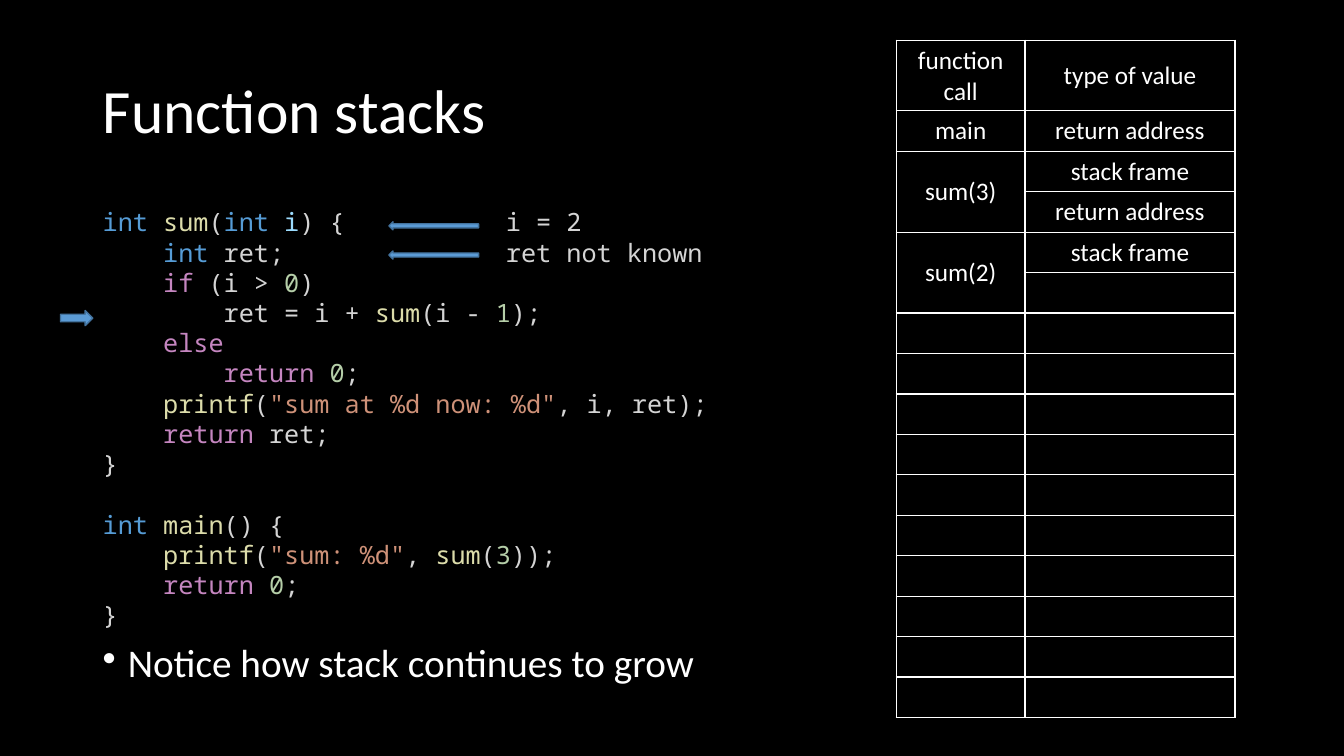
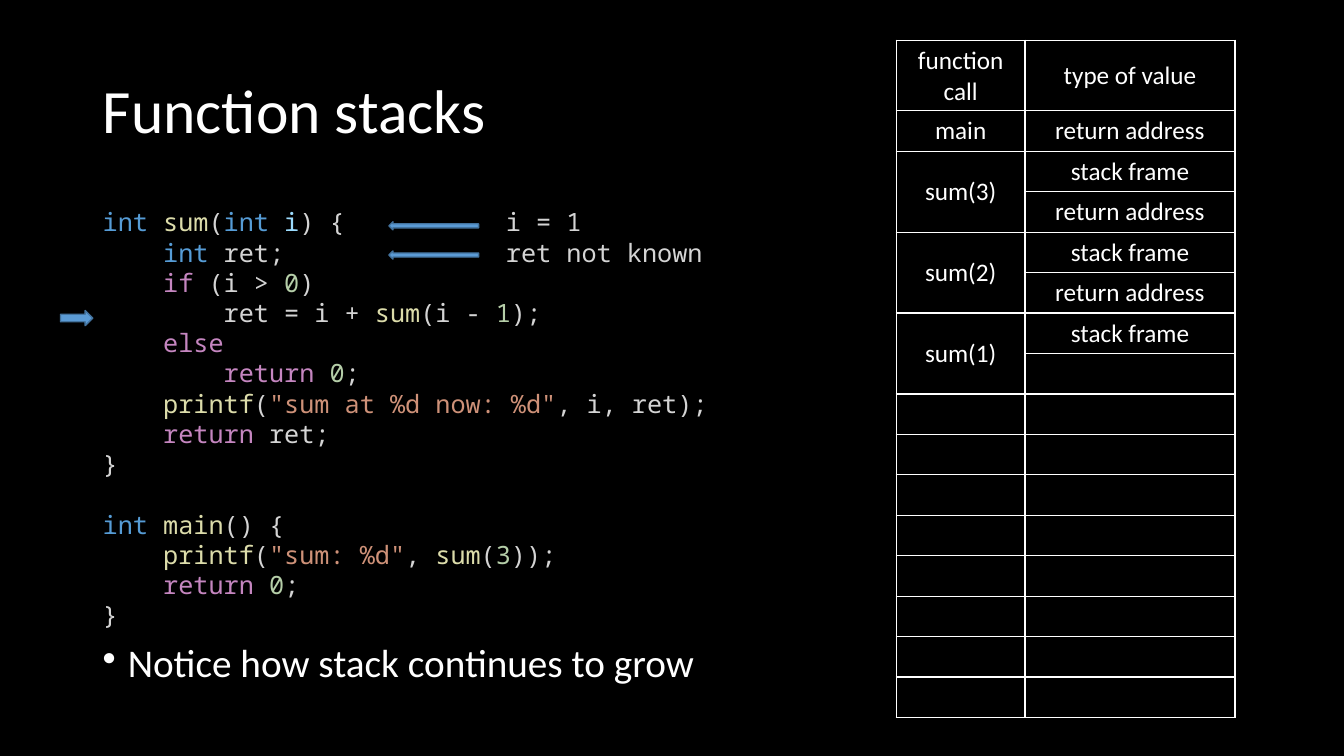
from dataclasses import dataclass

from pptx import Presentation
from pptx.dml.color import RGBColor
from pptx.enum.shapes import MSO_SHAPE as Preset
from pptx.enum.text import MSO_ANCHOR as Anchor, MSO_AUTO_SIZE as AutoSize, PP_ALIGN as Align
from pptx.oxml.xmlchemy import OxmlElement as new_element
from pptx.util import Inches, Pt

BODY_FONT, CODE_FONT = "Calibri", "Noto Sans Mono"
WHITE, BLACK = "FFFFFF", "000000"
ARROW_FILL, ARROW_LINE = "5B9BD5", "43739E"
CODE_SIZE, CODE_PITCH = 18, 21.6
TAB_STOPS = (0.6, 1.2, 4)
STACK_ROWS = 16
FRAME, RETURN = "stack frame", "return address"
SYNTAX = {
    "type": "569CD6",
    "call": "DCDCAA",
    "plain": "D4D4D4",
    "name": "9CDCFE",
    "flow": "C586C0",
    "number": "B5CEA8",
    "string": "CE9178",
}


@dataclass
class Box:
    """A rectangle in inches."""
    left: float
    top: float
    width: float
    height: float

    def inner(self, left, top, width, height):
        """Return a box given in percent of this one."""
        return Box(self.left + self.width * left / 100, self.top + self.height * top / 100,
                   self.width * width / 100, self.height * height / 100)

    def lengths(self):
        """Return left, top, width and height as lengths."""
        return [Inches(value) for value in (self.left, self.top, self.width, self.height)]


PAGE = Box(0, 0, 13.33, 7.5)
TITLE_BOX = PAGE.inner(6.9, 5.33, 86.27, 19.33)
CODE_BOX = PAGE.inner(6.9, 26.67, 50, 61.87)
STACK_BOX = PAGE.inner(66.69, 5.33, 25.2, 89.2)
POINT_BOX = PAGE.inner(6.9, 84.53, 86.27, 10.13)


def color(hex_text):
    """Turn a hex string into a colour."""
    return RGBColor.from_string(hex_text)


def paint(fill, hex_text):
    """Make a fill solid."""
    fill.solid()
    fill.fore_color.rgb = color(hex_text)


def add_span(para, text, size, hex_text=WHITE, font=BODY_FONT):
    """Append one formatted run."""
    span = para.add_run()
    span.text = text
    span.font.size, span.font.name = Pt(size), font
    span.font.color.rgb = color(hex_text)


def add_text_frame(page, box):
    """Add a wrapping text box and return its frame."""
    frame = page.shapes.add_textbox(*box.lengths()).text_frame
    frame.word_wrap = True
    return frame


def add_title(page, box, text):
    """Place and format the title placeholder."""
    title = page.shapes.title
    title.left, title.top, title.width, title.height = box.lengths()
    frame = title.text_frame
    frame.auto_size, frame.vertical_anchor = AutoSize.NONE, Anchor.MIDDLE
    para = frame.paragraphs[0]
    para.alignment, para.line_spacing = Align.LEFT, 0.9
    add_span(para, text, 44)


def add_point(page, box, text):
    """Add one bulleted line."""
    para = add_text_frame(page, box).paragraphs[0]
    para.line_spacing = 0.9
    properties = para._p.get_or_add_pPr()
    properties.set("marL", str(Inches(0.25)))
    properties.set("indent", str(-Inches(0.25)))
    bullet = new_element("a:buChar")
    bullet.set("char", "•")
    properties.append(bullet)
    add_span(para, text, 28)


def code_lines(argument):
    """Return the program as lines of (syntax kind, text) pairs."""
    return [
        [("type", "int "), ("call", "sum"), ("plain", "("), ("type", "int "), ("name", "i"),
         ("plain", f") {{\ti = {argument}")],
        [("type", "\tint"), ("plain", " ret;\tret not known")],
        [("flow", "\tif"), ("plain", " (i > "), ("number", "0"), ("plain", ")")],
        [("plain", "\t\tret = i + "), ("call", "sum"), ("plain", "(i - "), ("number", "1"),
         ("plain", ");")],
        [("flow", "\telse")],
        [("flow", "\t\treturn "), ("number", "0"), ("plain", ";")],
        [("call", "\tprintf"), ("plain", "("), ("string", '"sum at %d now: %d"'),
         ("plain", ", i, ret);")],
        [("flow", "\treturn"), ("plain", " ret;")],
        [("plain", "}")],
        [("type", "int "), ("call", "main"), ("plain", "() {")],
        [("call", "\tprintf"), ("plain", "("), ("string", '"sum: %d"'), ("plain", ", "),
         ("call", "sum"), ("plain", "("), ("number", "3"), ("plain", "));")],
        [("flow", "\treturn "), ("number", "0"), ("plain", ";")],
        [("plain", "}")],
    ]


def add_tab_stops(para):
    """Set the left tab stops of a code line."""
    tabs = new_element("a:tabLst")
    for position in TAB_STOPS:
        tab = new_element("a:tab")
        tab.set("pos", str(Inches(position)))
        tab.set("algn", "l")
        tabs.append(tab)
    para._p.get_or_add_pPr().append(tabs)


def add_arrow(page, box, preset):
    """Add a small block arrow."""
    arrow = page.shapes.add_shape(preset, *box.lengths())
    arrow.shadow.inherit = False
    paint(arrow.fill, ARROW_FILL)
    paint(arrow.line.fill, ARROW_LINE)
    arrow.line.width = Pt(1)


def add_code(page, box, argument):
    """Add the program with its variable values and step arrows."""
    frame = add_text_frame(page, box)
    for index, line in enumerate(code_lines(argument)):
        para = frame.add_paragraph() if index else frame.paragraphs[0]
        para.line_spacing = Pt(CODE_PITCH)
        if ("call", "main") in line:
            para.space_before = Pt(CODE_PITCH)
        add_tab_stops(para)
        for kind, text in line:
            add_span(para, text, CODE_SIZE, SYNTAX[kind], CODE_FONT)
    add_arrow(page, box.inner(-4.8, 23.28, 4.8, 3.23), Preset.RIGHT_ARROW)
    for top in (10.56, 4.31):
        add_arrow(page, box.inner(44.08, top, 13.34, 1.72), Preset.LEFT_ARROW)


def add_borders(cell):
    """Draw a thin white line on each side of a cell."""
    properties = cell._tc.get_or_add_tcPr()
    for side in ("a:lnL", "a:lnR", "a:lnT", "a:lnB"):
        line, fill, tint = map(new_element, (side, "a:solidFill", "a:srgbClr"))
        line.set("w", str(Pt(1)))
        tint.set("val", WHITE)
        fill.append(tint)
        line.append(fill)
        properties.append(line)


def write_cell(cell, text):
    """Write centred text in a cell."""
    para = cell.text_frame.paragraphs[0]
    para.alignment = Align.CENTER
    add_span(para, text, 18)


def add_stack(page, box, argument):
    """Add the call stack down to the call with this argument."""
    table = page.shapes.add_table(STACK_ROWS, 2, *box.lengths()).table
    table.first_row = table.horz_banding = False
    for column, share in zip(table.columns, (0.38, 0.62)):
        column.width = Inches(box.width * share)
    header = box.height * 0.1
    for index, row in enumerate(table.rows):
        height = (box.height - header) / (STACK_ROWS - 1) if index else header
        row.height = Inches(height)
    for cell in table.iter_cells():
        cell.vertical_anchor = Anchor.MIDDLE
        add_borders(cell)
        cell.fill.background()

    frames = [("function call", ["type of value"]), ("main", [RETURN])]
    for value in range(3, argument - 1, -1):
        frames.append((f"sum({value})", [FRAME, RETURN if value > argument else ""]))
    top = 0
    for call, values in frames:
        first = table.cell(top, 0)
        if len(values) > 1:
            first.merge(table.cell(top + len(values) - 1, 0))
        write_cell(first, call)
        for offset, text in enumerate(values):
            if text:
                write_cell(table.cell(top + offset, 1), text)
        top += len(values)


def add_stack_slide(deck, argument):
    """Add one step of the recursion."""
    page = deck.slides.add_slide(deck.slide_layouts.get_by_name("Title Only"))
    add_title(page, TITLE_BOX, "Function stacks")
    add_code(page, CODE_BOX, argument)
    add_stack(page, STACK_BOX, argument)
    add_point(page, POINT_BOX, "Notice how stack continues to grow")


def main():
    """Build and save the deck."""
    deck = Presentation()
    deck.slide_width, deck.slide_height = Inches(PAGE.width), Inches(PAGE.height)
    paint(deck.slide_master.background.fill, BLACK)
    for argument in (2, 1):
        add_stack_slide(deck, argument)
    deck.save("out.pptx")


if __name__ == "__main__":
    main()
